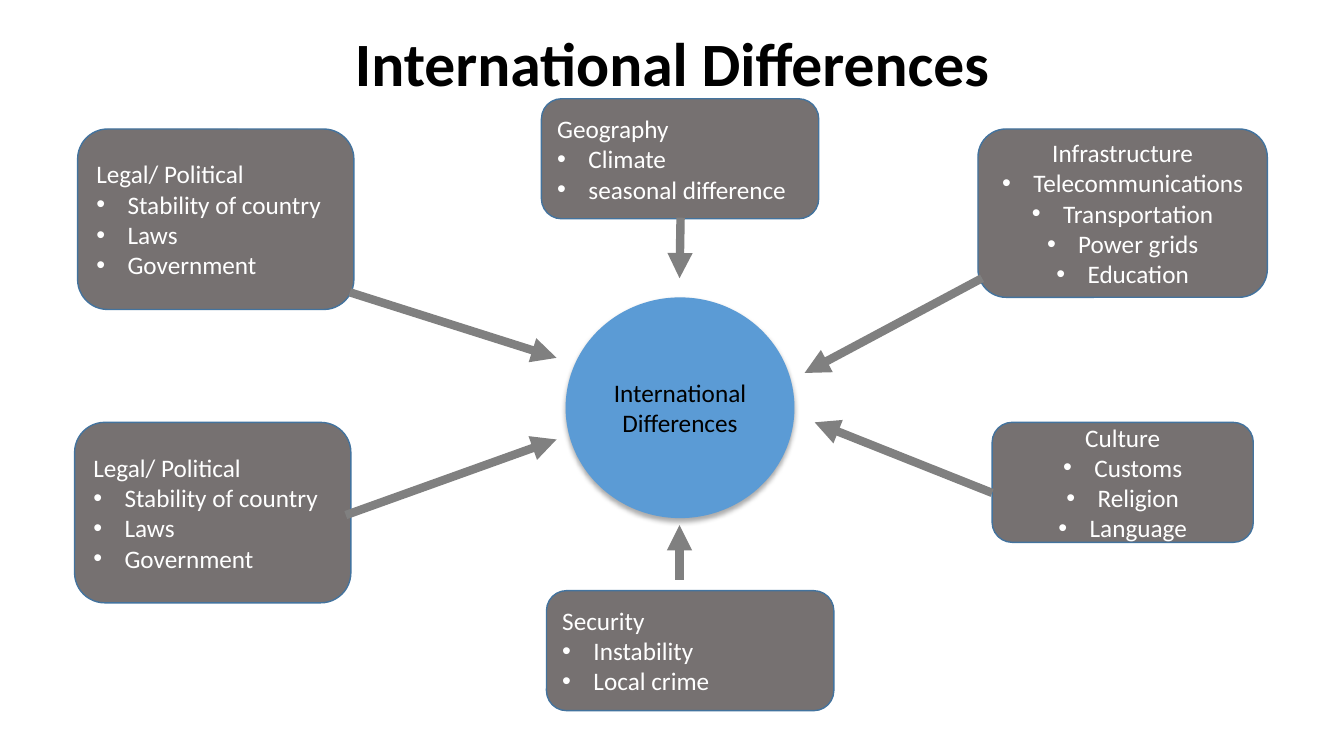
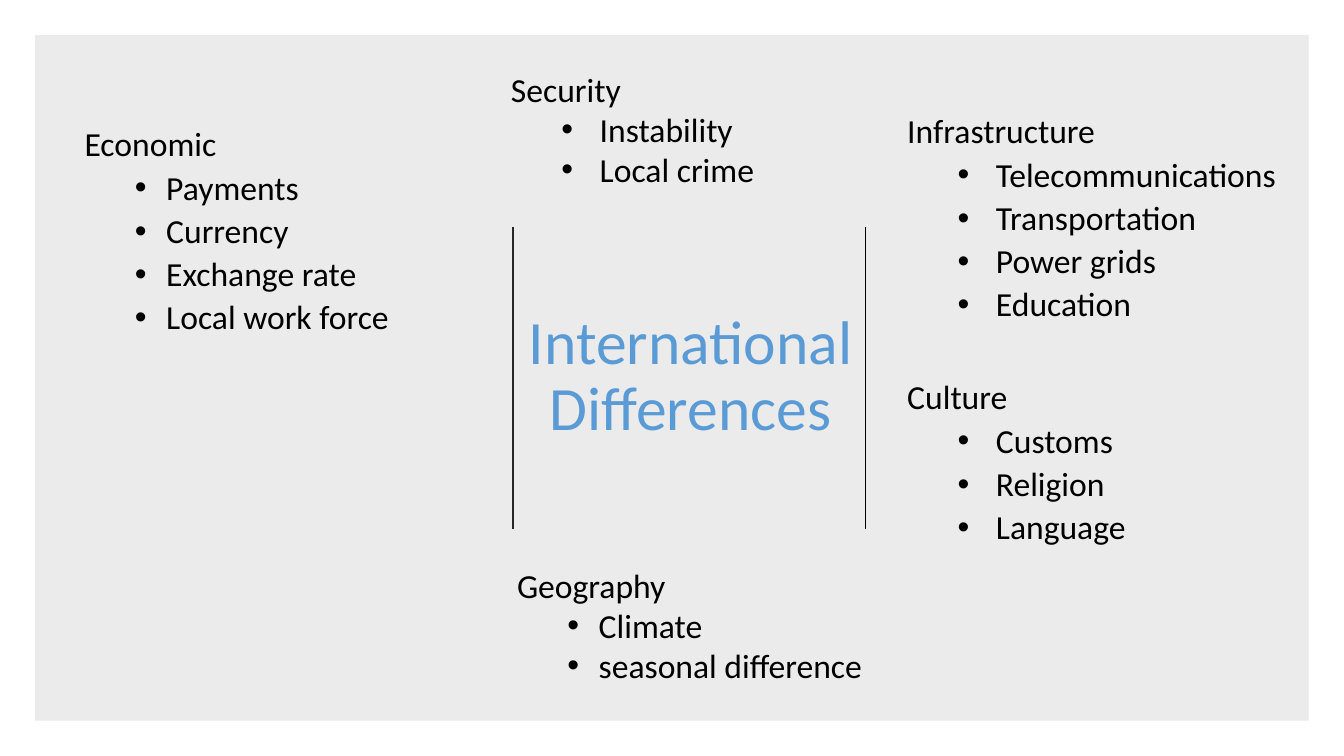
from pptx import Presentation
from pptx.dml.color import RGBColor
from pptx.enum.shapes import MSO_CONNECTOR, MSO_SHAPE
from pptx.enum.text import MSO_ANCHOR, MSO_AUTO_SIZE, PP_ALIGN
from pptx.oxml import parse_xml
from pptx.oxml.ns import nsdecls
from pptx.util import Inches, Pt

HUES = {name: RGBColor.from_string(code) for name, code in {
    "black": "000000", "white": "FFFFFF", "blue": "5B9BD5", "edge": "43739E",
    "box": "767171", "arrow": "808080", "panel": "EBEBEB", "rule": "262626"}.items()}
FONT = "Calibri"
LEFT, MID = PP_ALIGN.LEFT, PP_ALIGN.CENTER
NAME = "International Differences"


def write(frame, lines, size, hue, align=LEFT, left=0.31, hang=0.31, tight=False, bold=False):
    frame.text = "\n".join(lines)
    for rank, para in enumerate(frame.paragraphs):
        para.alignment = align
        if tight:
            para.line_spacing = 0.9
            para.space_before = Pt(5 if rank else 0)
        font = para.runs[0].font
        font.name, font.size, font.bold = FONT, Pt(size), bold
        font.color.rgb = HUES[hue]
        if rank:
            props = para._p.get_or_add_pPr()
            props.set("marL", str(Inches(left)))
            props.set("indent", str(-Inches(hang)))
            props.append(parse_xml(f'<a:buFont {nsdecls("a")} typeface="Arial"/>'))
            props.append(parse_xml(f'<a:buChar {nsdecls("a")} char="•"/>'))


def link(slide, start, end, hue, width, arrow=False):
    line = slide.shapes.add_connector(
        MSO_CONNECTOR.STRAIGHT, *[Inches(n) for n in (*start, *end)])
    line.line.color.rgb = HUES[hue]
    line.line.width = Pt(width)
    if arrow:
        line.line._get_or_add_ln().append(
            parse_xml(f'<a:tailEnd {nsdecls("a")} type="triangle"/>'))
    line._element.spPr.append(parse_xml(f'<a:effectLst {nsdecls("a")}/>'))


deck = Presentation()
deck.slide_width, deck.slide_height = Inches(13.33), Inches(7.5)

security = ["Security", "Instability", "Local crime"]
place = ["Geography", "Climate", "seasonal difference"]
culture = ["Culture", "Customs", "Religion", "Language"]
infra = ["Infrastructure", "Telecommunications", "Transportation", "Power grids", "Education"]
legal = ["Legal/ Political", "Stability of country", "Laws", "Government"]
money = ["Economic", "Payments", "Currency", "Exchange rate", "Local\u00a0work force"]

wheel, board = [deck.slides.add_slide(deck.slide_layouts[5]) for _ in range(2)]

panel = board.shapes.add_shape(
    MSO_SHAPE.RECTANGLE, Inches(0.35), Inches(0.35), Inches(12.63), Inches(6.8))
panel.shadow.inherit = False
panel.fill.solid()
panel.fill.fore_color.rgb = HUES["panel"]
panel.line.fill.background()
board.shapes._spTree.insert(2, panel._element)

for slide, spot, hue, bold in (
        (wheel, (1.97, 0.21, 9.4, 0.9), "black", True),
        (board, (4.94, 1.05, 3.82, 5.39), "blue", False)):
    title = slide.shapes.title
    title.left, title.top, title.width, title.height = [Inches(n) for n in spot]
    write(title.text_frame, [NAME], 44, hue, MID, tight=True, bold=bold)
    title.text_frame.auto_size = MSO_AUTO_SIZE.NONE
    title.text_frame.vertical_anchor = MSO_ANCHOR.MIDDLE

hub = wheel.shapes.add_shape(
    MSO_SHAPE.OVAL, Inches(5.61), Inches(2.95), Inches(2.27), Inches(2.19))
hub.fill.solid()
hub.fill.fore_color.rgb = HUES["blue"]
hub.line.fill.background()
hub._element.spPr.append(parse_xml(
    f'<a:effectLst {nsdecls("a")}><a:outerShdw blurRad="{Pt(3.5)}" dist="{Pt(2.2)}" '
    'dir="5400000" rotWithShape="0"><a:srgbClr val="000000"><a:alpha val="32000"/>'
    '</a:srgbClr></a:outerShdw></a:effectLst>'))
write(hub.text_frame, [NAME], 18, "black", MID)
hub.text_frame.vertical_anchor = MSO_ANCHOR.MIDDLE

for lines, spot, align in (
        (security, (5.42, 5.86, 2.85, 1.19), LEFT),
        (place, (5.37, 0.98, 2.75, 1.19), LEFT),
        (culture, (9.84, 4.19, 2.59, 1.19), MID),
        (infra, (9.7, 1.28, 2.87, 1.67), MID),
        (legal, (0.74, 4.19, 2.74, 1.79), LEFT),
        (legal, (0.77, 1.28, 2.74, 1.79), LEFT)):
    box = wheel.shapes.add_shape(
        MSO_SHAPE.ROUNDED_RECTANGLE, *[Inches(n) for n in spot])
    box.shadow.inherit = False
    box.fill.solid()
    box.fill.fore_color.rgb = HUES["box"]
    box.line.color.rgb = HUES["edge"]
    box.line.width = Pt(1)
    write(box.text_frame, lines, 18, "white", align)
    box.text_frame.vertical_anchor = MSO_ANCHOR.MIDDLE

for start, end in (
        ((3.43, 5.11), (5.52, 4.36)), ((6.75, 2.16), (6.74, 2.76)),
        ((6.74, 5.75), (6.74, 5.21)), ((9.74, 2.76), (7.98, 3.7)),
        ((9.84, 4.89), (8.08, 4.19)), ((3.47, 2.9), (5.52, 3.55))):
    link(wheel, start, end, "arrow", 6, True)

for x, hue, width in ((5.09, "rule", 1.5), (8.58, "black", 0.5)):
    link(board, (x, 2.25), (x, 5.25), hue, width)

for lines, spot, left, hang, tight in (
        (money, (0.74, 1.22, 4.22, 2.3), 0.81, 0.31, True),
        (infra, (8.9, 1.09, 4.4, 2.3), 0.88, 0.38, True),
        (culture, (8.9, 3.73, 4.4, 1.8), 0.88, 0.38, True),
        (place, (5.03, 5.55, 3.67, 1.62), 0.81, 0.31, False),
        (security, (4.97, 0.63, 2.63, 1.62), 0.88, 0.38, False)):
    note = board.shapes.add_textbox(*[Inches(n) for n in spot])
    note.text_frame.word_wrap = True
    write(note.text_frame, lines, 24, "black", LEFT, left, hang, tight)

deck.save("out.pptx")
